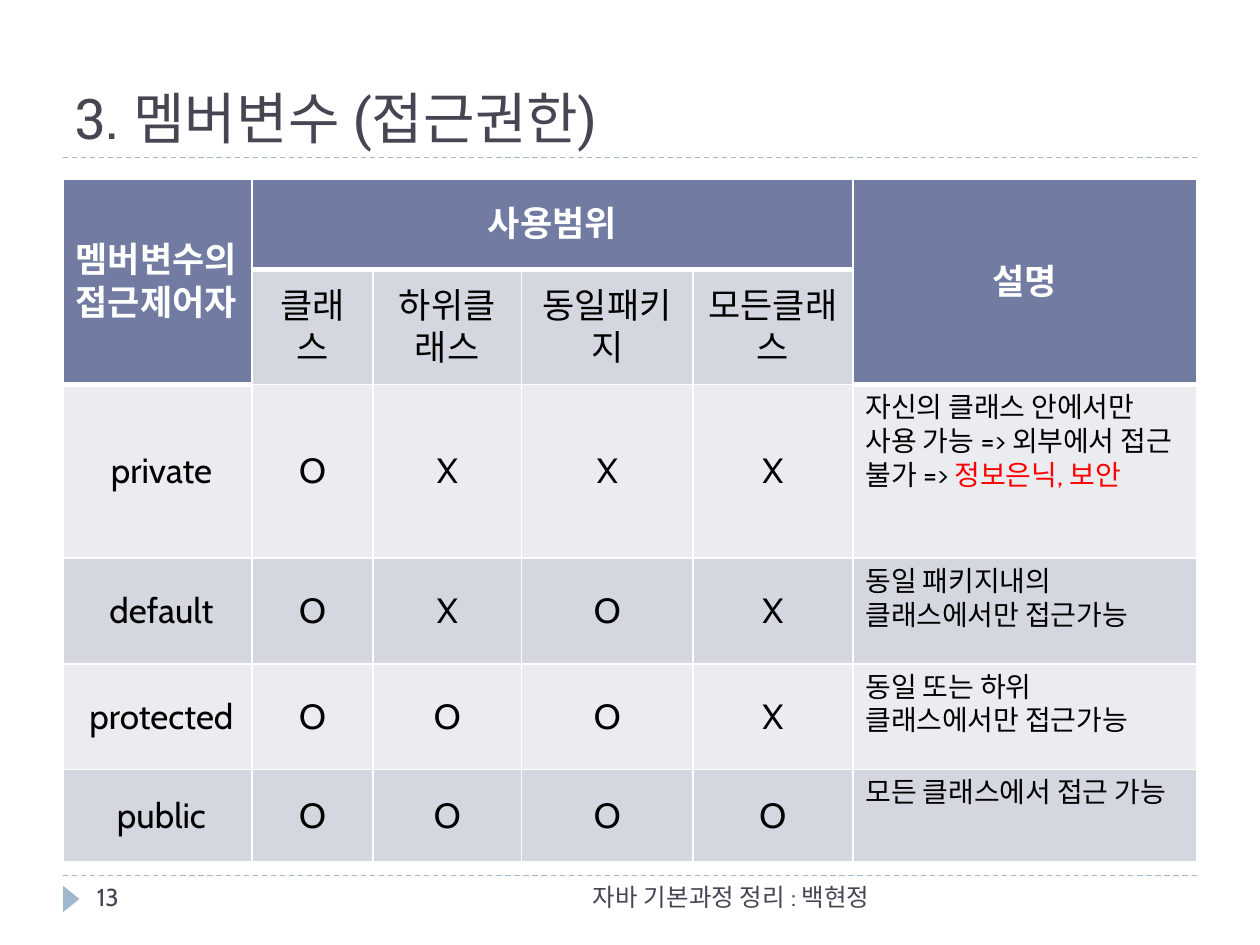
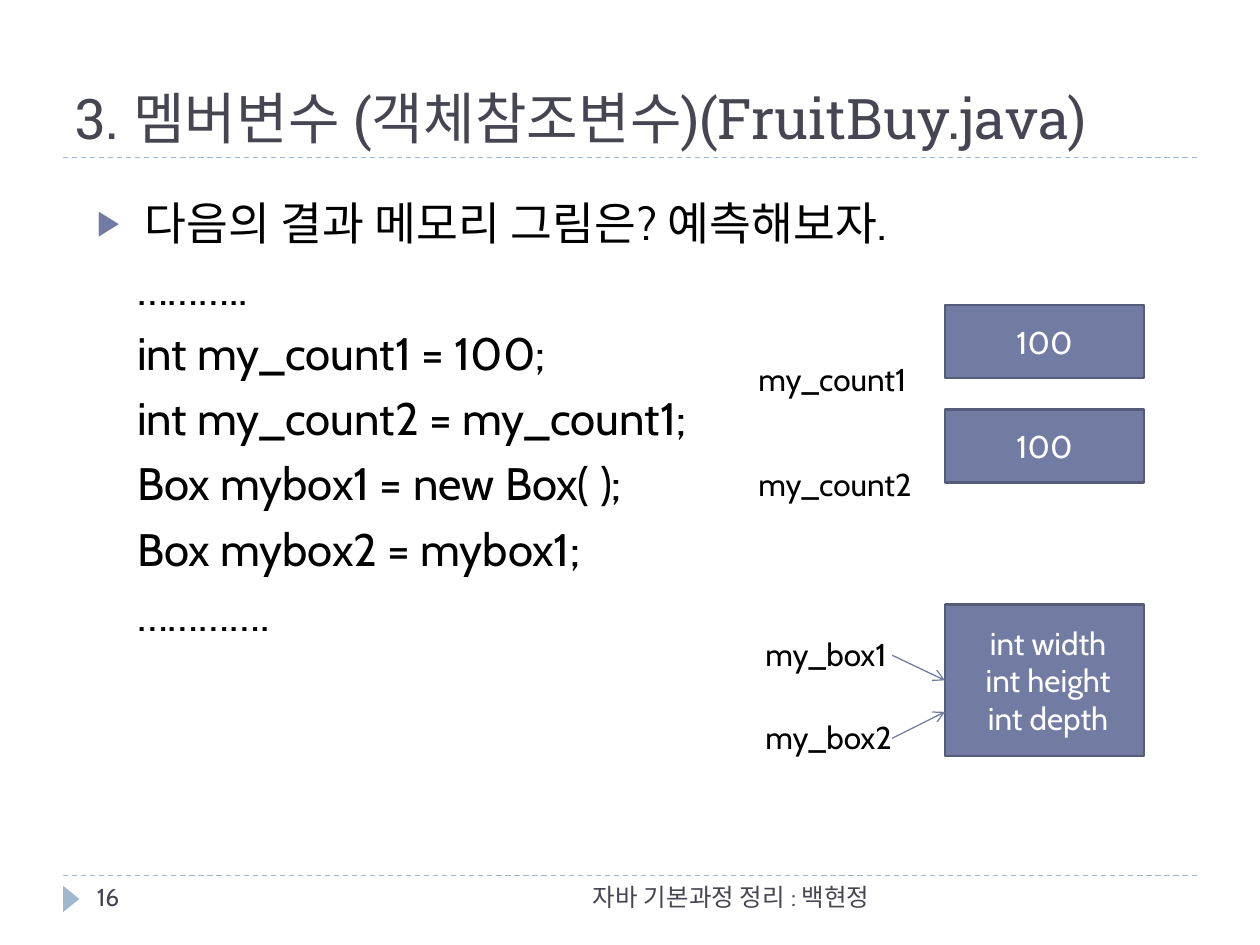
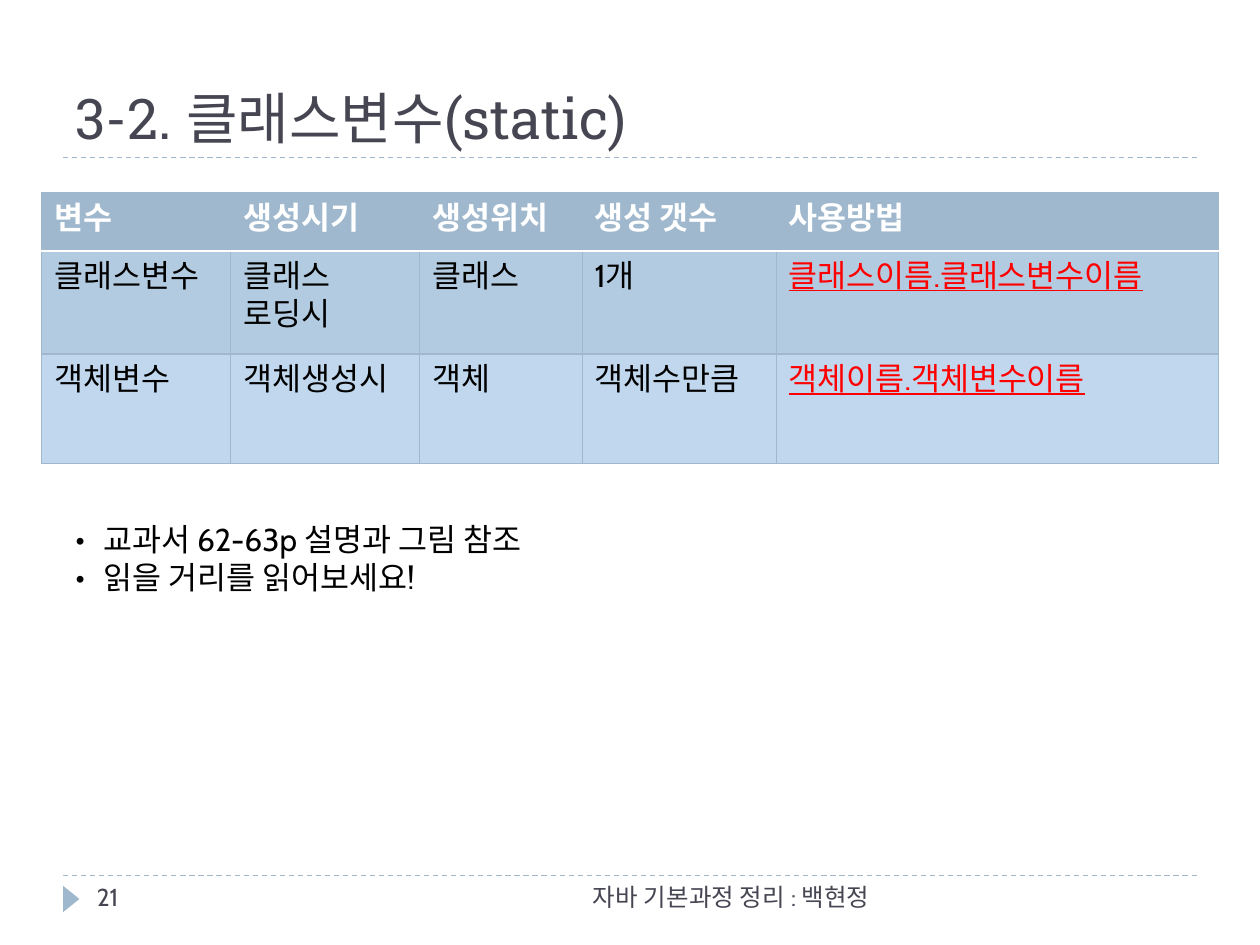
import dataclasses
import lxml.etree
import pptx
import pptx.dml.color
import pptx.enum.dml
import pptx.enum.shapes
import pptx.enum.text
import pptx.oxml.ns
import pptx.util

Inches = pptx.util.Inches
Pt = pptx.util.Pt
Align = pptx.enum.text.PP_ALIGN
Anchor = pptx.enum.text.MSO_ANCHOR
Shape = pptx.enum.shapes.MSO_SHAPE
qn = pptx.oxml.ns.qn


@dataclasses.dataclass(frozen=True)
class Theme:
    head: str = "Roboto Slab"
    body: str = "Cabin"
    ink: str = "464653"
    black: str = "000000"
    white: str = "FFFFFF"
    red: str = "FF0000"
    navy: str = "727CA3"
    edge: str = "545C79"
    sky: str = "9FB8CD"
    bands: tuple = ("EBECF0", "D5D7E0")
    blues: tuple = ("B3CBE0", "C0D7ED")
    title: int = 32
    lead: int = 26
    grid: int = 20
    base: int = 18
    note: int = 16
    foot: int = 14


T = Theme()


def color(code):
    return pptx.dml.color.RGBColor.from_string(code)


def inches(*nums):
    return [Inches(num) for num in nums]


def style(run, size, code, bold=False, font=T.body):
    run.font.size = Pt(size)
    run.font.name = font
    run.font.bold = bold
    run.font.color.rgb = color(code)
    lxml.etree.SubElement(run._r.get_or_add_rPr(), qn("a:ea"), typeface=font)


def write(frame, text, size, code, align=Align.LEFT, bold=False, font=T.body):
    frame.text = text
    for para in frame.paragraphs:
        para.alignment = align
        for run in para.runs:
            style(run, size, code, bold, font)


def label(shapes, box, text, size, code, align=Align.LEFT, grow=False):
    frame = shapes.add_textbox(*inches(*box)).text_frame
    frame.word_wrap = True
    if grow:
        frame.auto_size = pptx.enum.text.MSO_AUTO_SIZE.SHAPE_TO_FIT_TEXT
    write(frame, text, size, code, align)
    return frame


def bullet(para, mark, indent, code=None, scale=None):
    props = para._p.get_or_add_pPr()
    props.set("marL", str(Inches(indent)))
    props.set("indent", str(-Inches(indent)))
    if code:
        tint = lxml.etree.SubElement(props, qn("a:buClr"))
        lxml.etree.SubElement(tint, qn("a:srgbClr"), val=code)
    if scale:
        lxml.etree.SubElement(props, qn("a:buSzPct"), val=str(scale * 1000))
    lxml.etree.SubElement(props, qn("a:buFont"), typeface=T.body)
    lxml.etree.SubElement(props, qn("a:buChar"), char=mark)


def line(shapes, start, end, code, dash=False, arrow=False):
    kind = pptx.enum.shapes.MSO_CONNECTOR.STRAIGHT
    link = shapes.add_connector(kind, *inches(*start, *end))
    link.line.color.rgb = color(code)
    link.line.width = Pt(0.75)
    if dash:
        link.line.dash_style = pptx.enum.dml.MSO_LINE.DASH
    if arrow:
        stroke = link.line._get_or_add_ln()
        lxml.etree.SubElement(stroke, qn("a:tailEnd"), type="arrow")
    lxml.etree.SubElement(link._element.spPr, qn("a:effectLst"))


def block(shapes, box, text):
    rect = shapes.add_shape(Shape.RECTANGLE, *inches(*box))
    rect.shadow.inherit = False
    rect.fill.solid()
    rect.fill.fore_color.rgb = color(T.navy)
    rect.line.color.rgb = color(T.edge)
    rect.line.width = Pt(1.5)
    rect.text_frame.vertical_anchor = Anchor.MIDDLE
    write(rect.text_frame, text, T.base, T.white, Align.CENTER)


def footer(shapes, box, page):
    x, y, w, h = box
    line(shapes, (x, y), (x + w, y), T.sky, dash=True)
    mark = shapes.add_shape(Shape.ISOSCELES_TRIANGLE, *inches(x - 0.04, y + 0.12, 0.21, 0.13))
    mark.rotation = 90
    mark.shadow.inherit = False
    mark.fill.solid()
    mark.fill.fore_color.rgb = color(T.sky)
    mark.line.fill.background()
    label(shapes, (x + 0.17, y, 2.17, h), str(page), T.foot, T.ink)
    label(shapes, (x + 2.67, y, 3.83, h), "자바 기본과정 정리 : 백현정", T.foot, T.ink, Align.RIGHT)


def start(deck, title, page):
    slide = deck.slides.add_slide(deck.slide_layouts[5])
    x, y, w, h = 0.5, 0.17, 9, 1.08
    head = slide.shapes.title
    head.left, head.top, head.width, head.height = inches(x, y, w, h)
    frame = head.text_frame
    frame.auto_size = pptx.enum.text.MSO_AUTO_SIZE.NONE
    frame.vertical_anchor = Anchor.BOTTOM
    write(frame, title, T.title, T.ink, font=T.head)
    line(slide.shapes, (x, y + h), (x + w, y + h), T.sky, dash=True)
    footer(slide.shapes, (x, 6.95, w, 0.4), page)
    return slide.shapes


def grid(shapes, box, cols, rows):
    frame = shapes.add_table(len(rows), len(cols), *inches(*box))
    table = frame.table
    table.horz_banding = False
    for col, size in zip(table.columns, cols):
        col.width = Inches(size)
    for row, size in zip(table.rows, rows):
        row.height = Inches(size)
    return table


def paint(cell, code, sides):
    props = cell._tc.get_or_add_tcPr()
    for side, (tint, width) in sides.items():
        edge = lxml.etree.SubElement(props, qn("a:ln" + side), w=str(Pt(width)))
        fill = lxml.etree.SubElement(edge, qn("a:solidFill"))
        lxml.etree.SubElement(fill, qn("a:srgbClr"), val=tint)
    cell.fill.solid()
    cell.fill.fore_color.rgb = color(code)


def access(shapes, box):
    cols = (1.5, 0.96, 1.18, 1.36, 1.27, 2.73)
    table = grid(shapes, box, cols, (0.72, 0.91, 1.38, 0.84, 0.84, 0.73))
    data = (
        ("멤버변수의 접근제어자", "사용범위", "", "", "", "설명"),
        ("", "클래스", "하위클래스", "동일패키지", "모든클래스", ""),
        (" private", *"OXXX", "자신의 클래스 안에서만 사용 가능 => 외부에서 접근 불가 => "),
        (" default", *"OXOX", "동일 패키지내의 클래스에서만 접근가능"),
        (" protected", *"OOOX", "동일 또는 하위 클래스에서만 접근가능"),
        (" public", *"OOOO", "모든 클래스에서 접근 가능"),
    )
    for r, texts in enumerate(data):
        for c, text in enumerate(texts):
            cell = table.cell(r, c)
            outer = c in (0, 5)
            head = r == 0 or (r == 1 and outer)
            sides = dict.fromkeys("LRTB", (T.white, 1))
            if head:
                sides["B"] = (T.white, 3)
            elif r == 1 or (r == 2 and outer):
                sides["T"] = (T.white, 3)
            paint(cell, T.navy if head else T.bands[r % 2], sides)
            note = c == 5 and r > 1
            left = note or (r == 0 and c == 0)
            if not note:
                cell.vertical_anchor = Anchor.MIDDLE
            if text:
                write(cell.text_frame, text, T.note if note else T.grid,
                      T.white if head else T.black,
                      Align.LEFT if left else Align.CENTER, head)
    for first, last in (((0, 0), (1, 0)), ((0, 1), (0, 4)), ((0, 5), (1, 5))):
        table.cell(*first).merge(table.cell(*last))
    run = table.cell(2, 5).text_frame.paragraphs[0].add_run()
    run.text = "정보은닉, 보안"
    style(run, T.note, T.red)


def code(shapes, box):
    lines = (
        "다음의 결과 메모리 그림은? 예측해보자.",
        "………..",
        "int my_count1 = 100;",
        "int my_count2 = my_count1;",
        "Box mybox1 = new Box( );",
        "Box mybox2 = mybox1;",
        "………….",
    )
    frame = label(shapes, box, "\n".join(lines), T.lead, T.black)
    for para in frame.paragraphs:
        para.space_before = Pt(6)
        para._p.get_or_add_pPr().set("marL", str(Inches(0.32)))
    bullet(frame.paragraphs[0], "▶", 0.38, T.navy, 76)


def counts(shapes, box):
    x, y, w, h = box
    group = shapes.add_group_shape().shapes
    for i in range(2):
        top = y + i * (h - 0.58)
        block(group, (x + w - 1.58, top, 1.58, 0.58), "100")
        label(group, (x, top + 0.09, 1.42, 0.4), f" my_count{i + 1}", T.base, T.black, grow=True)


def boxes(shapes, box):
    x, y, w, h = box
    group = shapes.add_group_shape().shapes
    edge = x + w - 1.58
    block(group, (edge, y, 1.58, h), " int width\n int height\n int depth")
    for i, end in enumerate((0.6, 0.85)):
        top = y + 0.19 + i * 0.66
        label(group, (x, top, 1.42, 0.4), f" my_box{i + 1}", T.base, T.black, grow=True)
        line(group, (edge - 0.42, top + 0.21), (edge, y + end), T.navy, arrow=True)


def usage(shapes, box):
    table = grid(shapes, box, (1.5, 1.5, 1.29, 1.54, 3.51), (0.46, 0.82, 0.87))
    data = (
        ("변수", "생성시기", "생성위치", "생성 갯수", "사용방법"),
        ("클래스변수", "클래스 \n로딩시", "클래스", "1개", "클래스이름.클래스변수이름"),
        ("객체변수", "객체생성시", "객체", "객체수만큼", "객체이름.객체변수이름"),
    )
    for r, texts in enumerate(data):
        for c, text in enumerate(texts):
            cell = table.cell(r, c)
            head = r == 0
            sides = dict.fromkeys("LRTB", (T.sky, 0.75))
            if r < 2:
                sides["B" if head else "T"] = (T.white, 1.5)
            paint(cell, T.sky if head else T.blues[r - 1], sides)
            call = c == 4 and not head
            tint = T.white if head else T.red if call else T.black
            write(cell.text_frame, text, T.base, tint, bold=head)
            if call:
                cell.text_frame.paragraphs[0].runs[0].font.underline = True


def notes(shapes, box):
    text = "교과서 62-63p 설명과 그림 참조\n읽을 거리를 읽어보세요!"
    frame = label(shapes, box, text, T.base, T.black, grow=True)
    for para in frame.paragraphs:
        bullet(para, "•", 0.22)


def main():
    deck = pptx.Presentation()
    deck.slide_width, deck.slide_height = inches(10, 7.5)

    shapes = start(deck, "3. 멤버변수 (접근권한)", 13)
    access(shapes, (0.5, 1.42, 9, 5.42))

    shapes = start(deck, "3. 멤버변수 (객체참조변수)(FruitBuy.java)", 16)
    code(shapes, (0.67, 1.5, 9, 5.17))
    counts(shapes, (5.92, 2.42, 3.16, 1.41))
    boxes(shapes, (5.92, 4.8, 3.16, 1.2))

    shapes = start(deck, "3-2. 클래스변수(static)", 21)
    usage(shapes, (0.33, 1.53, 9.34, 2.15))
    notes(shapes, (0.5, 4.08, 7.75, 0.71))

    deck.save("out.pptx")


main()
